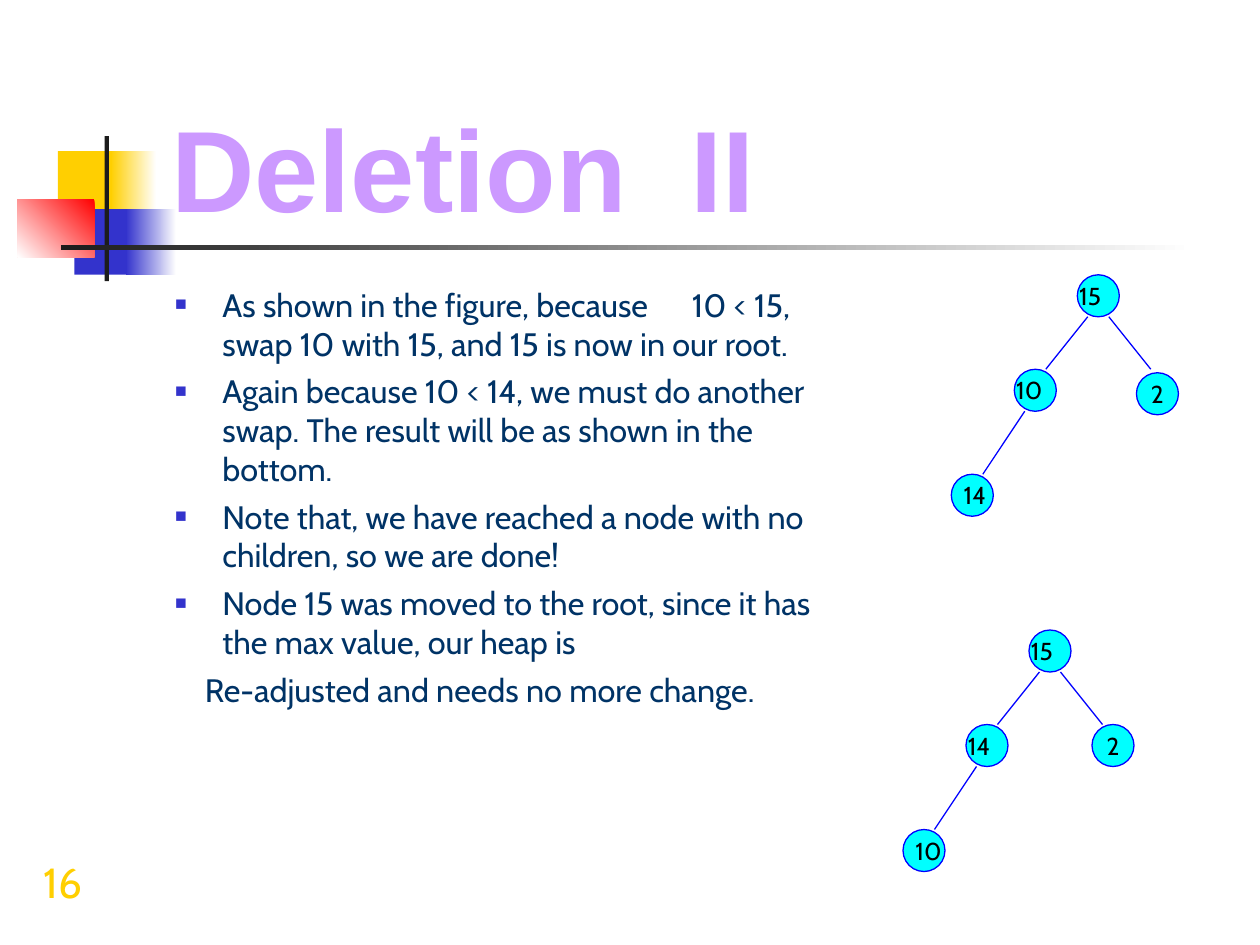
from pptx import Presentation
from pptx.dml.color import RGBColor as RGB
from pptx.enum.shapes import MSO_CONNECTOR as LINK, MSO_SHAPE as SHAPE
from pptx.enum.text import MSO_ANCHOR as ANCHOR, MSO_AUTO_SIZE as FIT, PP_ALIGN as ALIGN
from pptx.oxml import parse_xml
from pptx.oxml.ns import nsdecls, qn
from pptx.util import Pt

HUES = {
    "gold": "FFCF01", "blue": "3333CC", "red": "FF0000", "dark": "1C1C1C",
    "white": "FFFFFF", "lilac": "CC99FF", "navy": "003366",
    "cyan": "00FFFF", "edge": "0000FF", "black": "000000",
}
TITLE = ["Deletion", " ", "II"]
ITEMS = [
    ["As shown in the figure, because", " ", "10 < 15, swap 10 with 15, and 15 is now in our root."],
    ["Again because 10 < 14, we must do another swap. The result will be as shown in the bottom."],
    ["Note that, we have reached a node with no children, so we are done!"],
    ["Node 15 was moved to the root, since it has the max value, our heap is"],
]
CLOSE = ["Re-adjusted and needs no more change."]
PAGE = "16"
DECOR = [
    (33.1, 86.4, 34.6, 37.4, ["gold"], 0),
    (63.4, 86.4, 25.9, 37.4, ["white", "gold"], 180),
    (42.5, 119.5, 33.1, 37.4, ["blue"], 0),
    (72, 119.5, 28.8, 37.4, ["white", "blue"], 180),
    (10, 113.8, 44, 33.1, ["red", "white"], 225),
    (59.8, 77.8, 2.4, 82.8, ["dark"], 0),
    (34.6, 140.2, 648, 2.5, ["white", "dark"], 180),
]
TREES = [
    (588, 360, (36, 54), ["15", "14", "10"]),
    (615.6, 157, (33.8, 56), ["15", "10", "14"]),
]
SPOTS = [(0, 0), (-36, 54), (-72, 114)]
SHIFTS = [(-6, 42), (-6, 36), (0, 30)]
EDGES = [(6, 24, -18, 54), (18, 24, 42, 54), (-30, 78, -54, 114)]
NODE = 24


def hue(name):
    return RGB.from_string(HUES[name])


def style(para, size, name, face="Cabin", bold=False):
    for run in para.runs:
        font = run.font
        font.size, font.name, font.bold = Pt(size), face, bold
        font.color.rgb = hue(name)


def write(para, parts, gap):
    for part in parts:
        run = para.add_run()
        run.text = part
        if part == " ":
            run._r.get_or_add_rPr().set("spc", str(gap * 100))


def place(shape, *box):
    shape.left, shape.top, shape.width, shape.height = map(Pt, box)


def indent(para, left, first):
    props = para._p.get_or_add_pPr()
    props.set("marL", str(Pt(left)))
    props.set("indent", str(Pt(first)))
    return props


def bullet(para):
    props = indent(para, 27, -27)
    for xml in (
        f'<a:buClr {nsdecls("a")}><a:srgbClr val="{HUES["blue"]}"/></a:buClr>',
        f'<a:buSzPct {nsdecls("a")} val="60000"/>',
        f'<a:buFont {nsdecls("a")} typeface="Arial"/>',
        f'<a:buChar {nsdecls("a")} char="■"/>',
    ):
        props.append(parse_xml(xml))


def label(shapes, text, box, size, name):
    area = shapes.add_textbox(*map(Pt, box))
    frame = area.text_frame
    frame.word_wrap = True
    frame.text = text
    style(frame.paragraphs[0], size, name)


def decor(shapes):
    for *box, names, angle in DECOR:
        block = shapes.add_shape(SHAPE.RECTANGLE, *map(Pt, box))
        block.shadow.inherit = False
        block.line.fill.background()
        if len(names) == 1:
            block.fill.solid()
            block.fill.fore_color.rgb = hue(names[0])
        else:
            block.fill.gradient()
            block.fill.gradient_angle = angle
            for stop, name in zip(block.fill.gradient_stops, names):
                stop.color.rgb = hue(name)


def node(shapes, x, y):
    disc = shapes.add_shape(SHAPE.OVAL, Pt(x), Pt(y), Pt(NODE), Pt(NODE))
    disc.shadow.inherit = False
    disc.fill.solid()
    disc.fill.fore_color.rgb = hue("cyan")
    disc.line.color.rgb = hue("edge")
    disc.line.width = Pt(0.75)
    return disc


def tree(shapes, x, y, right, keys):
    for dx, dy in SPOTS:
        node(shapes, x + dx, y + dy)
    frame = node(shapes, x + right[0], y + right[1]).text_frame
    frame.word_wrap = False
    frame.vertical_anchor = ANCHOR.MIDDLE
    frame.text = "2"
    frame.paragraphs[0].alignment = ALIGN.CENTER
    style(frame.paragraphs[0], 14, "black")
    for ax, ay, bx, by in EDGES:
        edge = shapes.add_connector(LINK.STRAIGHT, Pt(x + ax), Pt(y + ay), Pt(x + bx), Pt(y + by))
        edge.line.color.rgb = hue("edge")
        edge.line.width = Pt(0.75)
        edge._element.spPr.append(edge._element.makeelement(qn("a:effectLst"), {}))
    for key, (dx, dy), (shift, wide) in zip(keys, SPOTS, SHIFTS):
        label(shapes, key, (x + dx + shift, y + dy, wide, NODE), 14, "black")


def main():
    deck = Presentation()
    deck.slide_width, deck.slide_height = Pt(720), Pt(540)
    slide = deck.slides.add_slide(deck.slide_layouts[1])
    shapes = slide.shapes

    title, body = shapes.title, slide.placeholders[1]
    place(title, 90.7, 48.2, 613.4, 90)
    place(body, 92.9, 159.1, 380.2, 324)
    for shape, anchor in ((title, ANCHOR.BOTTOM), (body, ANCHOR.TOP)):
        frame = shape.text_frame
        frame.auto_size, frame.word_wrap = FIT.NONE, True
        frame.vertical_anchor = anchor

    head = title.text_frame.paragraphs[0]
    head.alignment = ALIGN.LEFT
    write(head, TITLE, 18)
    style(head, 66, "lilac", "Arial", True)

    frame = body.text_frame
    for i, parts in enumerate(ITEMS + [CLOSE]):
        para = frame.add_paragraph() if i else frame.paragraphs[0]
        para.space_before = Pt(5 if i else 0)
        if parts is CLOSE:
            indent(para, 17, 0).append(parse_xml(f'<a:buNone {nsdecls("a")}/>'))
        else:
            bullet(para)
        write(para, parts, 21)
        style(para, 18.5, "navy")

    decor(shapes)
    for spec in TREES:
        tree(shapes, *spec)
    label(shapes, PAGE, (18, 486, 48, 36), 24, "gold")
    deck.save("out.pptx")


if __name__ == "__main__":
    main()
